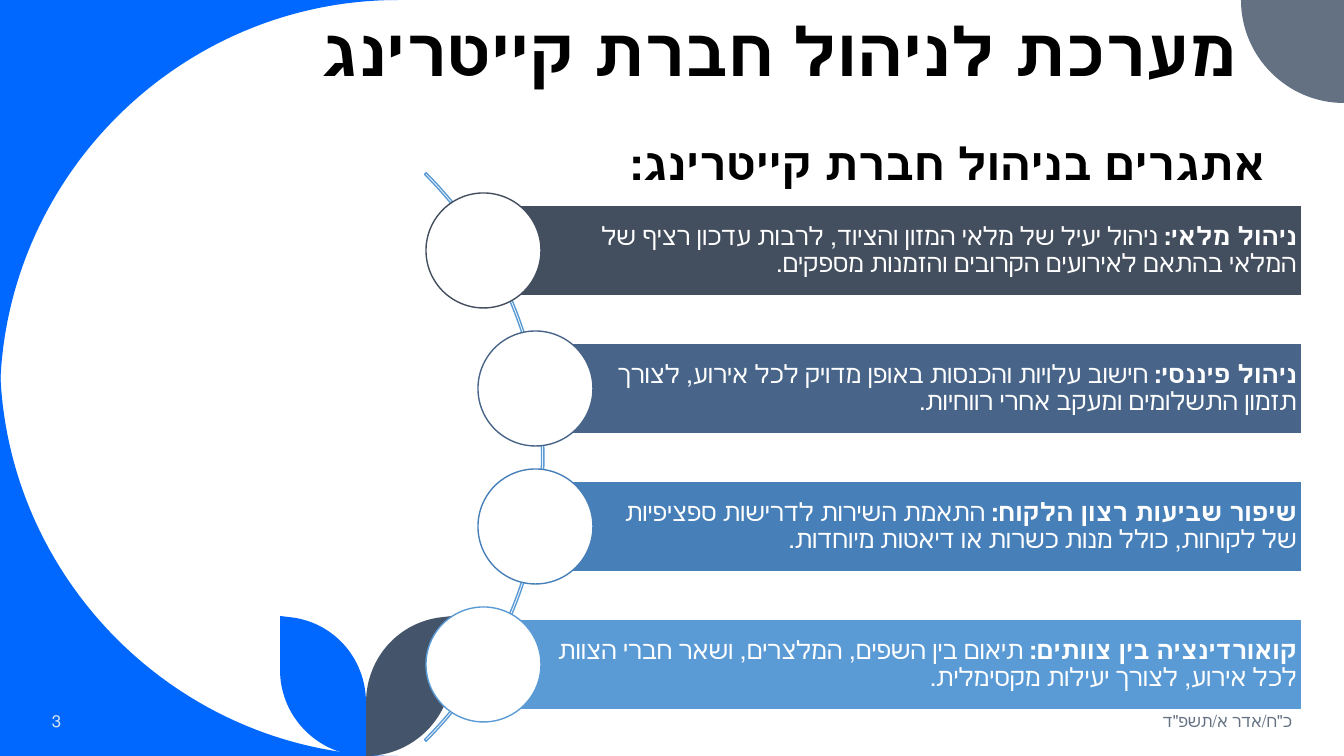
"""Build the slide on the challenges of running a catering company."""
from lxml import etree
from pptx import Presentation
from pptx.dml.color import RGBColor
from pptx.enum.shapes import MSO_SHAPE
from pptx.enum.text import MSO_ANCHOR, PP_ALIGN
from pptx.oxml.ns import qn
from pptx.util import Pt

RECTANGLE, OVAL, BLOCK_ARC = MSO_SHAPE.RECTANGLE, MSO_SHAPE.OVAL, MSO_SHAPE.BLOCK_ARC
TOP, MIDDLE, BOTTOM = MSO_ANCHOR.TOP, MSO_ANCHOR.MIDDLE, MSO_ANCHOR.BOTTOM
LEFT, RIGHT = PP_ALIGN.LEFT, PP_ALIGN.RIGHT

PX_PER_INCH = 100.8
WIDTH, HEIGHT = 1344, 756
ARC_PULL = 0.55

WHITE = RGBColor(0xFF, 0xFF, 0xFF)
BLACK = RGBColor(0x00, 0x00, 0x00)
BRIGHT_BLUE = RGBColor(0x00, 0x68, 0xFF)
GREY = RGBColor(0x63, 0x71, 0x83)
SLATE = RGBColor(0x44, 0x54, 0x6A)
PALE = RGBColor(0xDA, 0xE5, 0xEF)
SKY = RGBColor(0x5B, 0x9B, 0xD5)

HEADING_FONT, BODY_FONT = "Karla", "Lato"

BAR_TOP, BAR_PITCH, BAR_HEIGHT, BAR_RIGHT = 205, 138, 91, 1302
CIRCLE = 115
OUTER_BAR, INNER_BAR = 483, 535

CHALLENGES = [
    (OUTER_BAR, RGBColor(0x43, 0x4E, 0x5E), "ניהול מלאי:",
     " ניהול יעיל של מלאי המזון והציוד, לרבות עדכון רציף של המלאי"
     " בהתאם לאירועים הקרובים והזמנות מספקים."),
    (INNER_BAR, RGBColor(0x48, 0x65, 0x89), "ניהול פיננסי:",
     " חישוב עלויות והכנסות באופן מדויק לכל אירוע, לצורך תזמון"
     " התשלומים ומעקב אחרי רווחיות."),
    (INNER_BAR, RGBColor(0x47, 0x7F, 0xB9), "שיפור שביעות רצון הלקוח:",
     " התאמת השירות לדרישות ספציפיות של לקוחות, כולל מנות כשרות"
     " או דיאטות מיוחדות."),
    (OUTER_BAR, SKY, "קואורדינציה בין צוותים:",
     " תיאום בין השפים, המלצרים, ושאר חברי הצוות לכל אירוע,"
     " לצורך יעילות מקסימלית."),
]


def px(length):
    """Turn pixels into EMU."""
    return round(length * 914400 / PX_PER_INCH)


def toward(start, goal):
    """Return the control point of a quarter arc between a point and its corner."""
    return tuple(s + (g - s) * ARC_PULL for s, g in zip(start, goal))


def quarter(start, corner, end):
    """Return the two controls and the end of a quarter arc bulging to a corner."""
    return [toward(start, corner), toward(end, corner), end]


def add_outline(slide, steps, color):
    """Add a filled outline from steps of one point (line) or three (curve)."""
    first, *rest = [(px(x), px(y)) for step in steps for x, y in step]
    builder = slide.shapes.build_freeform(*first)
    builder.add_line_segments(rest, close=True)
    outline = builder.convert_to_shape()
    outline.shadow.inherit = False
    outline.fill.solid()
    outline.fill.fore_color.rgb = color
    outline.line.fill.background()
    lines = iter(list(outline._element.iter(qn("a:lnTo"))))
    for step in steps[1:]:
        parts = [next(lines) for _ in step]
        if len(parts) == 3:
            curve = etree.Element(qn("a:cubicBezTo"))
            parts[0].addprevious(curve)
            for part in parts:
                curve.append(part[0])
                part.getparent().remove(part)


def add_preset(slide, kind, box, fill, line):
    """Add a preset shape with a thin border and an optional fill."""
    preset = slide.shapes.add_shape(kind, *map(px, box))
    preset.shadow.inherit = False
    if fill is None:
        preset.fill.background()
    else:
        preset.fill.solid()
        preset.fill.fore_color.rgb = fill
    preset.line.color.rgb = line
    preset.line.width = Pt(1)
    return preset


def set_rtl(paragraph, align):
    """Set right-to-left direction and alignment."""
    paragraph.alignment = align
    paragraph._p.get_or_add_pPr().set("rtl", "1")


def style_run(run, font, size, color, bold):
    """Apply font settings to a run."""
    run.font.name = font
    run.font.size = Pt(size)
    run.font.color.rgb = color
    run.font.bold = bold


def add_label(slide, box, text, font, size, color, bold=False, align=RIGHT, anchor=MIDDLE):
    """Add a one-paragraph right-to-left text box."""
    frame = slide.shapes.add_textbox(*map(px, box)).text_frame
    frame.word_wrap = True
    frame.vertical_anchor = anchor
    frame.text = text
    paragraph = frame.paragraphs[0]
    set_rtl(paragraph, align)
    style_run(paragraph.runs[0], font, size, color, bold)
    return paragraph


def add_challenge(slide, top, left, color, heading, detail):
    """Add one challenge bar with the circle at its left end."""
    bar = add_preset(slide, RECTANGLE, (left, top, BAR_RIGHT - left, BAR_HEIGHT), color, WHITE)
    frame = bar.text_frame
    frame.word_wrap = True
    frame.vertical_anchor = MIDDLE
    frame.margin_left = px(72)
    frame.margin_right = frame.margin_top = frame.margin_bottom = px(5)
    paragraph = frame.paragraphs[0]
    set_rtl(paragraph, RIGHT)
    paragraph.line_spacing = 0.9
    for text, bold in ((heading, True), (detail, False)):
        run = paragraph.add_run()
        run.text = text
        style_run(run, BODY_FONT, 18, WHITE, bold)
    circle_top = top + (BAR_HEIGHT - CIRCLE) // 2
    add_preset(slide, OVAL, (left - CIRCLE // 2, circle_top, CIRCLE, CIRCLE), WHITE, color)


def add_decoration(slide):
    """Add the coloured corners and the pair of leaves."""
    big, small, stem, tip = 398, 103, 366, 280
    for edge, bend in ((0, big), (HEIGHT, HEIGHT - big)):
        sweep = quarter((big, edge), (0, edge), (0, bend))
        sweep[:2] = [toward((big, edge), (0, edge)), toward((0, bend), (0, edge))]
        add_outline(slide, [[(0, edge)], [(big, edge)], sweep], BRIGHT_BLUE)
    start, end = (WIDTH - small, 0), (WIDTH, small)
    add_outline(slide, [[(WIDTH, 0)], [start], quarter(start, (WIDTH - small, small), end)], GREY)
    left_leaf = [
        [(tip, 616)],
        [(tip, 670)],
        quarter((tip, 670), (tip, HEIGHT), (stem, HEIGHT)),
        [(stem, 703)],
        [(stem, 658), (333, 621), (288, 617)],
    ]
    right_leaf = [[(2 * stem - x, y) for x, y in step] for step in left_leaf]
    add_outline(slide, left_leaf, BRIGHT_BLUE)
    add_outline(slide, right_leaf, SLATE)


def main():
    """Build and save the slide."""
    deck = Presentation()
    deck.slide_width, deck.slide_height = px(WIDTH), px(HEIGHT)
    slide = deck.slides.add_slide(deck.slide_layouts[6])
    add_decoration(slide)

    title = add_label(slide, (169, -50, 1078, 146), "מערכת לניהול חברת קייטרינג",
                      HEADING_FONT, 48, BLACK, bold=True, anchor=BOTTOM)
    title.line_spacing = 0.9
    add_label(slide, (1000, 701, 302, 40), "כ\"ח/אדר א/תשפ\"ד", HEADING_FONT, 12, GREY)
    add_label(slide, (42, 701, 182, 40), "3", HEADING_FONT, 12, PALE, align=LEFT)
    add_label(slide, (604, 131, 672, 65), "אתגרים בניהול חברת קייטרינג:",
              BODY_FONT, 32, BLACK, bold=True, anchor=TOP)

    curve = add_preset(slide, BLOCK_ARC, (-260, 55, 804, 804), None, SKY)
    for index, value in enumerate((189, 27, 0.003)):
        curve.adjustments[index] = value
    for index, challenge in enumerate(CHALLENGES):
        add_challenge(slide, BAR_TOP + index * BAR_PITCH, *challenge)
    deck.save("out.pptx")


if __name__ == "__main__":
    main()
